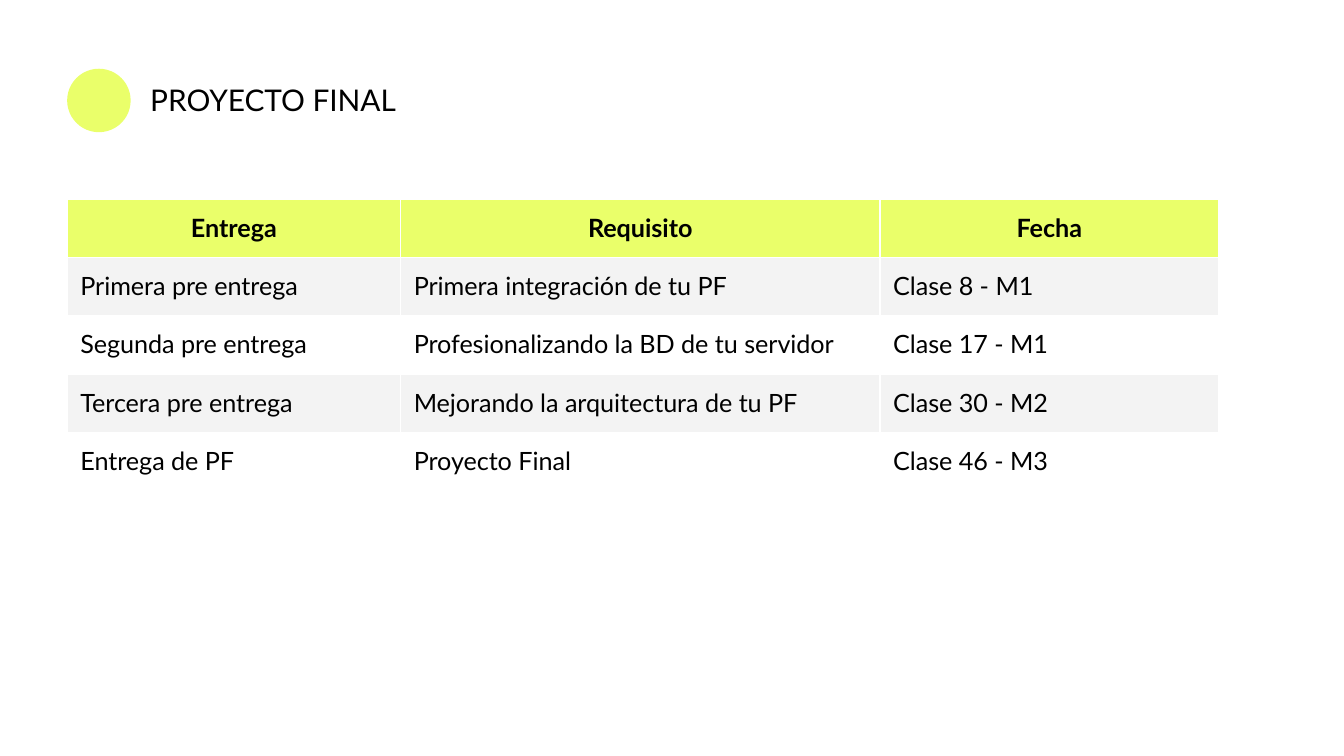
from dataclasses import dataclass

from lxml import etree
from pptx import Presentation
from pptx.dml.color import RGBColor
from pptx.enum.shapes import MSO_SHAPE
from pptx.enum.text import MSO_ANCHOR, MSO_AUTO_SIZE, PP_ALIGN
from pptx.oxml.ns import qn
from pptx.util import Cm, Pt

OVAL = MSO_SHAPE.OVAL
TOP = MSO_ANCHOR.TOP
FIT_SHAPE = MSO_AUTO_SIZE.SHAPE_TO_FIT_TEXT
LEFT, CENTER = PP_ALIGN.LEFT, PP_ALIGN.CENTER
BLANK_LAYOUT = 6


@dataclass(frozen=True)
class Theme:
    font: str = "Lato"
    ink: str = "000000"
    accent: str = "EAFF6A"
    paper: str = "FFFFFF"
    band: str = "F3F3F3"
    title_size: float = 16
    table_size: float = 13.5
    border_width: float = 0.75
    inset: float = 0.25


class SlideBuilder:
    def __init__(self, slide, theme):
        self.slide = slide
        self.theme = theme
        self.paint(slide.background.fill, theme.paper)

    def paint(self, fill, color):
        fill.solid()
        fill.fore_color.rgb = RGBColor.from_string(color)

    def add_text(self, frame, text, size, bold=False, align=LEFT):
        paragraph = frame.paragraphs[0]
        paragraph.alignment = align
        run = paragraph.add_run()
        run.text = text
        run.font.name = self.theme.font
        run.font.size = Pt(size)
        run.font.bold = bold
        run.font.color.rgb = RGBColor.from_string(self.theme.ink)

    def set_insets(self, holder):
        """Give a text frame or a table cell the same margin on all sides."""
        inset = Cm(self.theme.inset)
        holder.margin_left = holder.margin_right = inset
        holder.margin_top = holder.margin_bottom = inset

    def title(self, text, left, top, width, height):
        box = self.slide.shapes.add_textbox(Cm(left), Cm(top), Cm(width), Cm(height))
        frame = box.text_frame
        frame.word_wrap = True
        frame.auto_size = FIT_SHAPE
        self.set_insets(frame)
        self.add_text(frame, text, self.theme.title_size)

    def dot(self, left, top, diameter):
        circle = self.slide.shapes.add_shape(
            OVAL, Cm(left), Cm(top), Cm(diameter), Cm(diameter))
        circle.shadow.inherit = False
        self.paint(circle.fill, self.theme.accent)
        circle.line.fill.background()

    def cell_borders(self, cell):
        properties = cell._tc.get_or_add_tcPr()
        for side in ("a:lnL", "a:lnR", "a:lnT", "a:lnB"):
            line = etree.SubElement(
                properties, qn(side), w=str(Pt(self.theme.border_width)))
            fill = etree.SubElement(line, qn("a:solidFill"))
            etree.SubElement(fill, qn("a:srgbClr"), val=self.theme.paper)

    def table(self, rows, left, top, column_widths, row_height):
        """Place a table with an accent header and alternating row fills."""
        theme = self.theme
        table = self.slide.shapes.add_table(
            len(rows), len(column_widths), Cm(left), Cm(top),
            Cm(sum(column_widths)), Cm(row_height * len(rows))).table
        for column, width in zip(table.columns, column_widths):
            column.width = Cm(width)
        for row_index, texts in enumerate(rows):
            is_header = row_index == 0
            body_fill = theme.band if row_index % 2 else theme.paper
            for column_index, text in enumerate(texts):
                cell = table.cell(row_index, column_index)
                cell.vertical_anchor = TOP
                self.set_insets(cell)
                self.cell_borders(cell)
                self.paint(cell.fill, theme.accent if is_header else body_fill)
                self.add_text(cell.text_frame, text, theme.table_size,
                              bold=is_header, align=CENTER if is_header else LEFT)


DELIVERIES = [
    ("Entrega", "Requisito", "Fecha"),
    ("Primera pre entrega", "Primera integración de tu PF", "Clase 8 - M1"),
    ("Segunda pre entrega", "Profesionalizando la BD de tu servidor", "Clase 17 - M1"),
    ("Tercera pre entrega", "Mejorando la arquitectura de tu PF", "Clase 30 - M2"),
    ("Entrega de PF", "Proyecto Final", "Clase 46 - M3"),
]


def main():
    presentation = Presentation()
    presentation.slide_width = Cm(25.4)
    presentation.slide_height = Cm(14.29)
    slide = presentation.slides.add_slide(presentation.slide_layouts[BLANK_LAYOUT])
    builder = SlideBuilder(slide, Theme())

    margin = 1.27
    heading_top, heading_height = 1.3, 1.2
    builder.title("PROYECTO FINAL", 2.59, heading_top, 6.83, heading_height)
    builder.dot(margin, heading_top, heading_height)
    builder.table(DELIVERIES, margin, 3.77, (6.3, 9.06, 6.4), 1.1)

    presentation.save("out.pptx")


if __name__ == "__main__":
    main()
